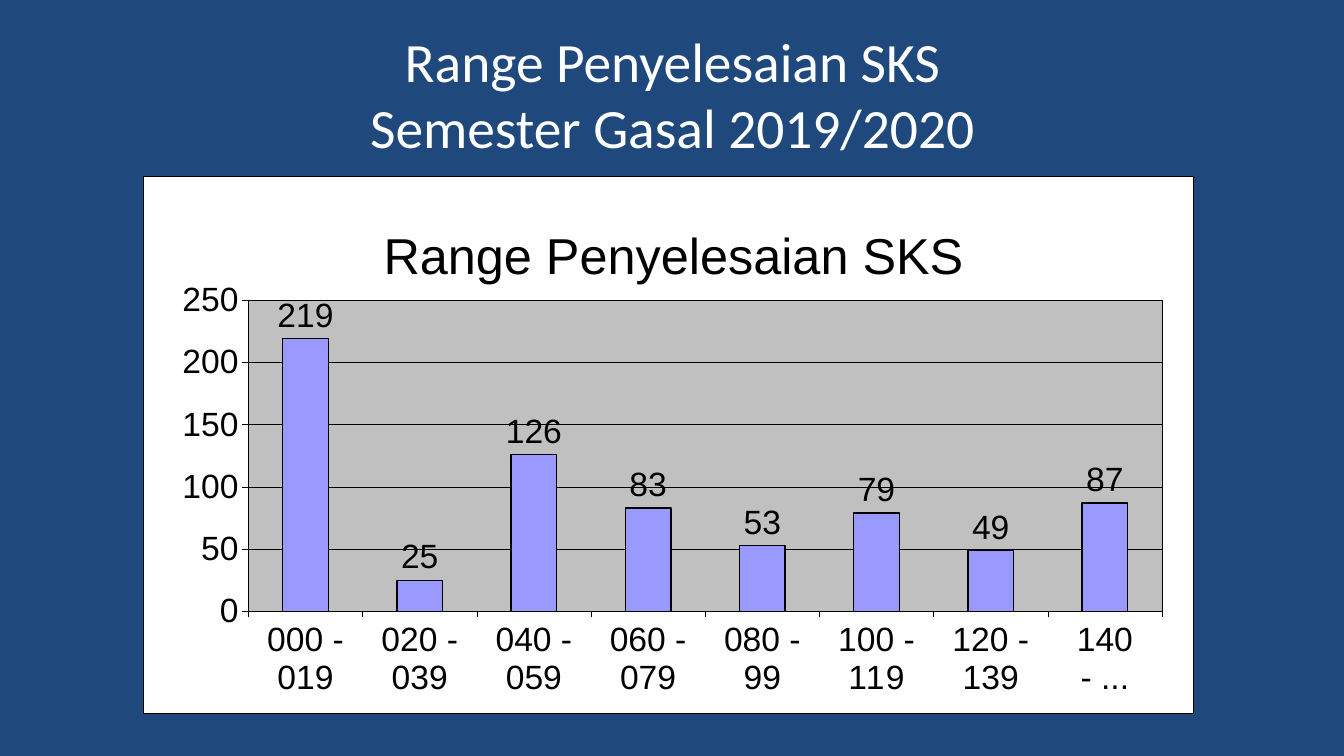
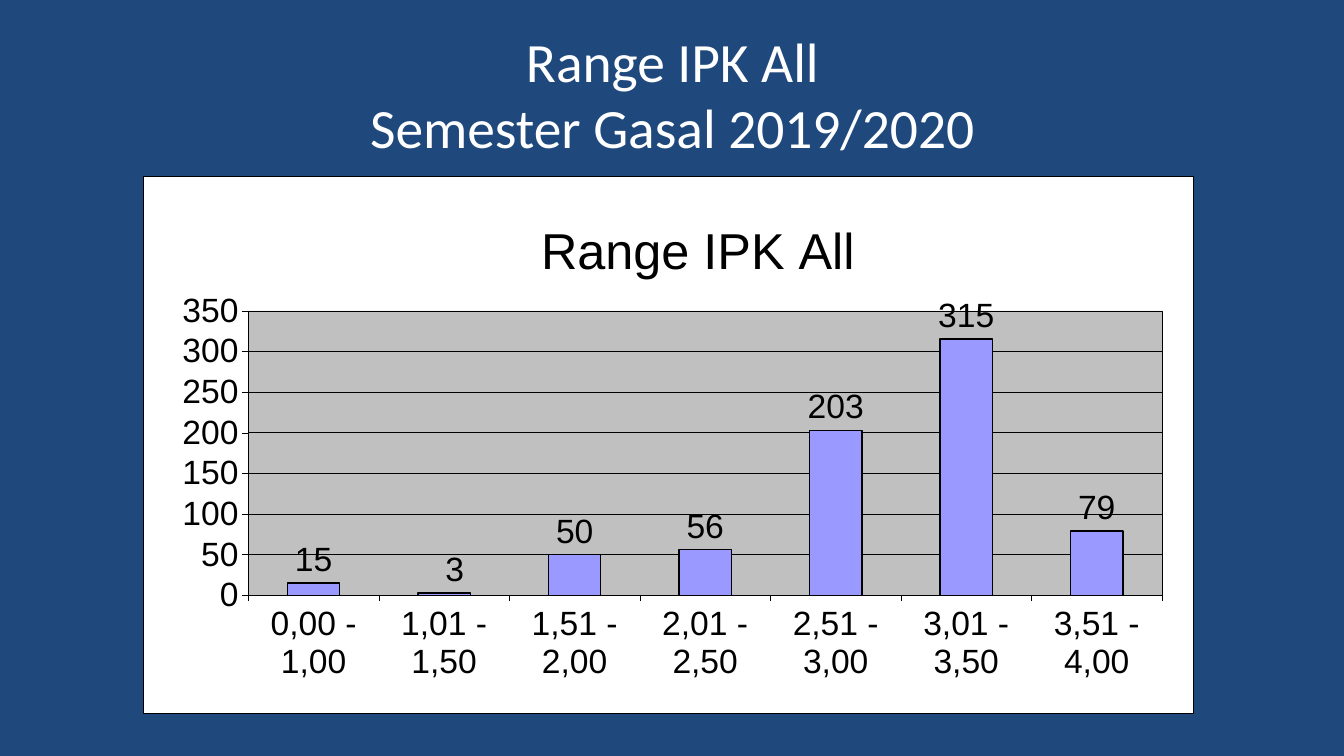
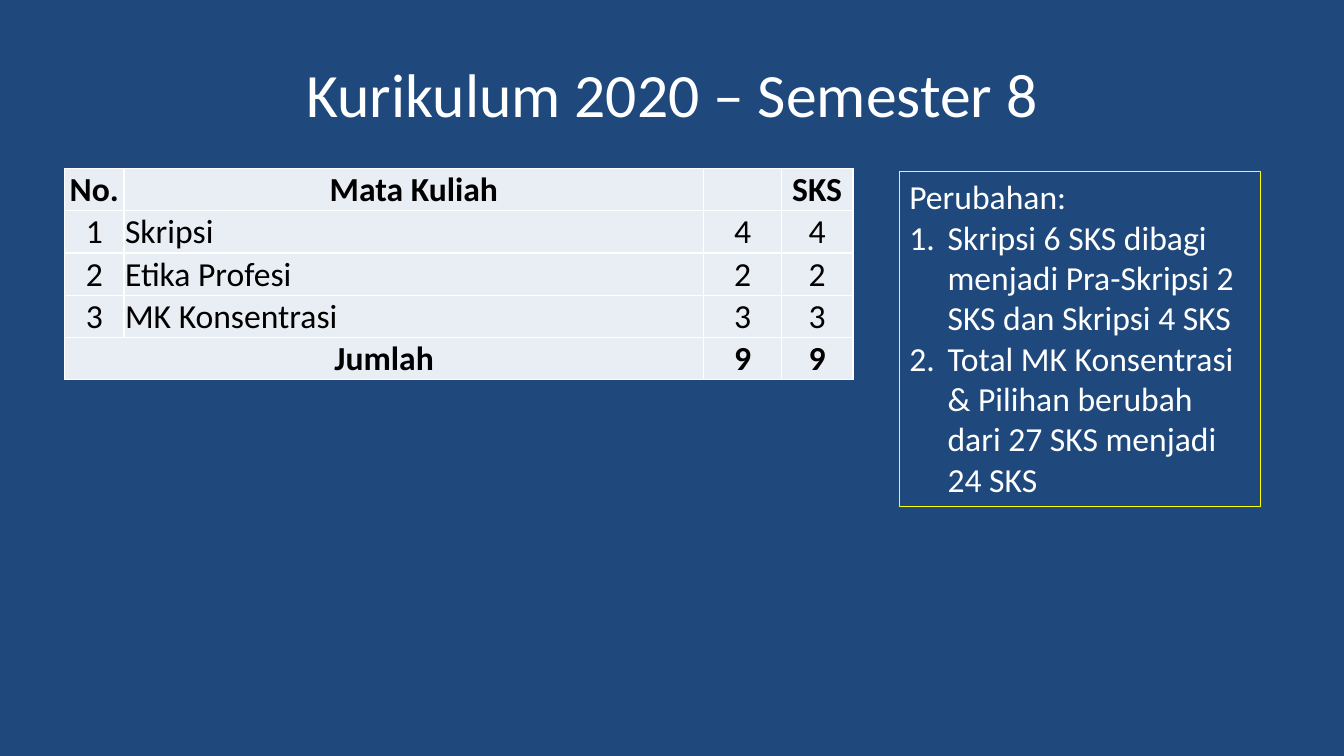
import dataclasses

import lxml.etree
import pptx
import pptx.chart.data
import pptx.dml.color
import pptx.enum.chart
import pptx.enum.text
import pptx.oxml
import pptx.oxml.ns
import pptx.util

Inches = pptx.util.Inches
Pt = pptx.util.Pt
qn = pptx.oxml.ns.qn
Align = pptx.enum.text.PP_ALIGN
Anchor = pptx.enum.text.MSO_ANCHOR


@dataclasses.dataclass(frozen=True)
class Theme:
    background: str = "1F497D"
    light: str = "FFFFFF"
    dark: str = "000000"
    cell: str = "E9EDF4"
    note_line: str = "FFFF00"
    bar: str = "9999FF"
    plot: str = "C0C0C0"
    text_font: str = "Calibri"
    chart_font: str = "Arial"
    title_size: float = 44
    two_line_title_size: float = 39.6
    chart_title_size: float = 36
    body_size: float = 24
    hairline: float = 0.25


THEME = Theme()
TITLE_BOX = (0.67, 0.3, 12, 1.25)
CHART_BOX = (1.42, 1.75, 10.42, 5.33)
TABLE_BOX = (0.64, 1.67, 7.82, 2.1)
NOTE_BOX = (8.92, 1.7, 3.58, 3.33)


def color(value):
    return pptx.dml.color.RGBColor.from_string(value)


def place(box):
    return [Inches(length) for length in box]


def style_font(font, size, tint, name=THEME.text_font, bold=False):
    font.name = name
    font.size = Pt(size)
    font.bold = bold
    font.color.rgb = color(tint)


def style_line(line, tint, width):
    line.color.rgb = color(tint)
    line.width = Pt(width)


def write(paragraph, text, size, tint, align=Align.LEFT, bold=False):
    paragraph.text = text
    paragraph.alignment = align
    for run in paragraph.runs:
        style_font(run.font, size, tint, bold=bold)


def add_title(slide, text, size, box=TITLE_BOX):
    frame = slide.shapes.add_textbox(*place(box)).text_frame
    frame.word_wrap = True
    frame.vertical_anchor = Anchor.MIDDLE
    write(frame.paragraphs[0], text, size, THEME.light, Align.CENTER)


def set_layout(parent, index, **values):
    for layout in parent.findall(qn("c:layout")):
        parent.remove(layout)
    layout = lxml.etree.Element(qn("c:layout"))
    manual = lxml.etree.SubElement(layout, qn("c:manualLayout"))
    for tag, value in values.items():
        lxml.etree.SubElement(manual, qn(f"c:{tag}"), val=str(value))
    parent.insert(index, layout)


def area_format(fill):
    width = int(Pt(THEME.hairline))
    return pptx.oxml.parse_xml(
        f'<c:spPr {pptx.oxml.ns.nsdecls("c", "a")}>'
        f'<a:solidFill><a:srgbClr val="{fill}"/></a:solidFill>'
        f'<a:ln w="{width}"><a:solidFill><a:srgbClr val="{THEME.dark}"/>'
        "</a:solidFill></a:ln></c:spPr>"
    )


def add_chart(slide, title, values, maximum, title_at, plot_at, box=CHART_BOX):
    data = pptx.chart.data.CategoryChartData(number_format="0")
    data.categories = list(values)
    data.add_series("Series 1", list(values.values()))
    chart = slide.shapes.add_chart(
        pptx.enum.chart.XL_CHART_TYPE.COLUMN_CLUSTERED, *place(box), data
    ).chart
    style_font(chart.font, THEME.body_size, THEME.dark, THEME.chart_font)
    chart.has_legend = False

    chart.has_title = True
    paragraph = chart.chart_title.text_frame.paragraphs[0]
    paragraph.text = title
    style_font(paragraph.runs[0].font, THEME.chart_title_size, THEME.dark, THEME.chart_font)

    for axis in (chart.category_axis, chart.value_axis):
        axis.major_tick_mark = pptx.enum.chart.XL_TICK_MARK.OUTSIDE
        axis.minor_tick_mark = pptx.enum.chart.XL_TICK_MARK.NONE
        style_line(axis.format.line, THEME.dark, THEME.hairline)
    axis = chart.value_axis
    axis.minimum_scale = 0
    axis.maximum_scale = maximum
    axis.major_unit = 50
    axis.tick_labels.number_format = "0"
    axis.tick_labels.number_format_is_linked = False
    axis.has_major_gridlines = True
    style_line(axis.major_gridlines.format.line, THEME.dark, THEME.hairline)

    plot = chart.plots[0]
    plot.gap_width = 150
    plot.vary_by_categories = False
    series = plot.series[0]
    series.format.fill.solid()
    series.format.fill.fore_color.rgb = color(THEME.bar)
    style_line(series.format.line, THEME.dark, 1)
    labels = series.data_labels
    labels.show_value = True
    labels.number_format = "0"
    labels.number_format_is_linked = False
    labels.position = pptx.enum.chart.XL_LABEL_POSITION.OUTSIDE_END
    style_font(labels.font, THEME.body_size, THEME.dark, THEME.chart_font)

    space = chart.element if hasattr(chart, "element") else chart._chartSpace
    chart_part = space.find(qn("c:chart"))
    plot_area = chart_part.find(qn("c:plotArea"))
    chart_part.addnext(area_format(THEME.light))
    plot_area.append(area_format(THEME.plot))
    left, top = title_at
    set_layout(chart_part.find(qn("c:title")), 1, xMode="edge", yMode="edge", x=left, y=top)
    left, top, width, height = plot_at
    set_layout(plot_area, 0, layoutTarget="inner", xMode="edge", yMode="edge",
               x=left, y=top, w=width, h=height)
    return chart


def shift_label(chart, point, offset):
    label = chart.plots[0].series[0].points[point].data_label
    label.position = pptx.enum.chart.XL_LABEL_POSITION.OUTSIDE_END
    style_font(label.font, THEME.body_size, THEME.dark, THEME.chart_font)
    element = chart._chartSpace.find(f".//{qn('c:dLbl')}")
    set_layout(element, 1, x=offset, y=0)


def style_cell(cell):
    cell.margin_left = cell.margin_right = cell.margin_top = Inches(0.01)
    cell.margin_bottom = 0
    cell.vertical_anchor = Anchor.MIDDLE
    properties = cell._tc.get_or_add_tcPr()
    for side in ("lnL", "lnR", "lnT", "lnB"):
        border = lxml.etree.SubElement(properties, qn(f"a:{side}"), w=str(int(Pt(1))))
        fill = lxml.etree.SubElement(border, qn("a:solidFill"))
        lxml.etree.SubElement(fill, qn("a:srgbClr"), val=THEME.light)
    cell.fill.solid()
    cell.fill.fore_color.rgb = color(THEME.cell)


def add_course_table(slide, rows, widths, box=TABLE_BOX):
    table = slide.shapes.add_table(len(rows), len(widths), *place(box)).table
    table.first_row = False
    table.horz_banding = False
    for column, width in zip(table.columns, widths):
        column.width = Inches(width)
    last = len(rows) - 1
    for row_index, row in enumerate(rows):
        table.rows[row_index].height = Inches(box[3] / len(rows))
        bold = row_index in (0, last)
        for column_index, text in enumerate(row):
            cell = table.cell(row_index, column_index)
            style_cell(cell)
            if text:
                align = Align.LEFT if column_index == 1 and not bold else Align.CENTER
                write(cell.text_frame.paragraphs[0], text, THEME.body_size, THEME.dark, align, bold)
    table.cell(last, 0).merge(table.cell(last, 1))


def add_note(slide, heading, points, box=NOTE_BOX):
    shape = slide.shapes.add_textbox(*place(box))
    style_line(shape.line, THEME.note_line, 0.75)
    frame = shape.text_frame
    frame.word_wrap = True
    frame.auto_size = pptx.enum.text.MSO_AUTO_SIZE.SHAPE_TO_FIT_TEXT
    write(frame.paragraphs[0], heading, THEME.body_size, THEME.light)
    indent = int(Inches(0.38))
    for point in points:
        paragraph = frame.add_paragraph()
        properties = paragraph._p.get_or_add_pPr()
        properties.set("marL", str(indent))
        properties.set("indent", str(-indent))
        lxml.etree.SubElement(properties, qn("a:buAutoNum"), type="arabicPeriod")
        write(paragraph, point, THEME.body_size, THEME.light)


def add_chart_slide(slide, topic, values, maximum, title_at, plot_at):
    add_title(slide, f"{topic}\nSemester Gasal 2019/2020", THEME.two_line_title_size)
    return add_chart(slide, topic, values, maximum, title_at, plot_at)


def add_curriculum_slide(slide):
    add_title(slide, "Kurikulum 2020 – Semester 8", THEME.title_size)
    rows = [
        ("No.", "Mata Kuliah", "", "SKS"),
        ("1", "Skripsi", "4", "4"),
        ("2", "Etika Profesi", "2", "2"),
        ("3", "MK Konsentrasi", "3", "3"),
        ("Jumlah", "", "9", "9"),
    ]
    add_course_table(slide, rows, (0.59, 5.75, 0.77, 0.71))
    add_note(slide, "Perubahan:", [
        "Skripsi 6 SKS dibagi menjadi Pra-Skripsi 2 SKS dan Skripsi 4 SKS",
        "Total MK Konsentrasi & Pilihan berubah dari 27 SKS menjadi 24 SKS",
    ])


def main():
    presentation = pptx.Presentation()
    presentation.slide_width = Inches(13.33)
    presentation.slide_height = Inches(7.5)
    background = presentation.slide_master.background.fill
    background.solid()
    background.fore_color.rgb = color(THEME.background)
    blank = presentation.slide_layouts[6]
    credit_slide, grade_slide, curriculum_slide = [
        presentation.slides.add_slide(blank) for _ in range(3)
    ]

    credits = {
        "000 - 019": 219, "020 - 039": 25, "040 - 059": 126, "060 - 079": 83,
        "080 - 99": 53, "100 - 119": 79, "120 - 139": 49, "140 - ...": 87,
    }
    add_chart_slide(credit_slide, "Range Penyelesaian SKS", credits, 250,
                    (0.22, 0.07), (0.1, 0.23, 0.87, 0.58))

    grades = {
        "0,00 - 1,00": 15, "1,01 - 1,50": 3, "1,51 - 2,00": 50, "2,01 - 2,50": 56,
        "2,51 - 3,00": 203, "3,01 - 3,50": 315, "3,51 - 4,00": 79,
    }
    grade_chart = add_chart_slide(grade_slide, "Range IPK All", grades, 350,
                                  (0.37, 0.06), (0.1, 0.25, 0.87, 0.53))
    shift_label(grade_chart, 1, 0.01)

    add_curriculum_slide(curriculum_slide)
    presentation.save("out.pptx")


if __name__ == "__main__":
    main()
